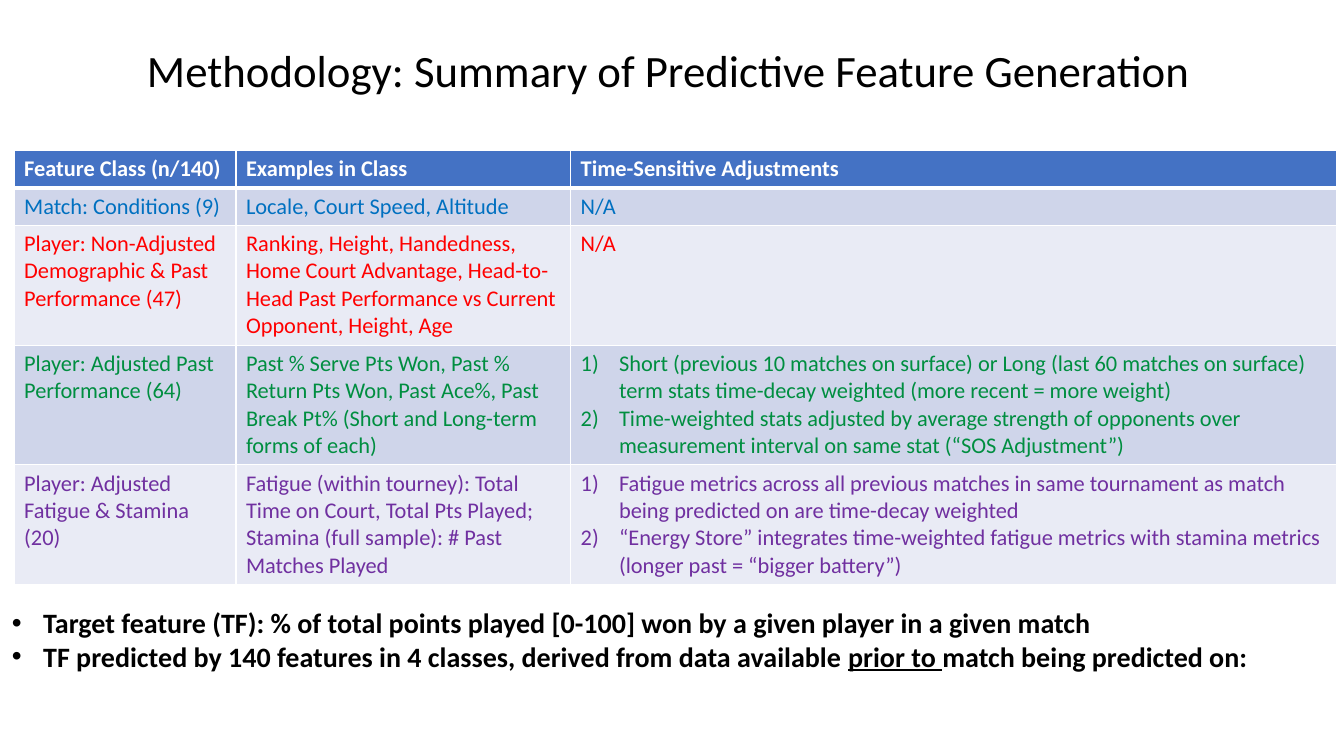
from dataclasses import dataclass

from lxml.etree import SubElement
from pptx import Presentation
from pptx.dml.color import RGBColor
from pptx.enum.text import MSO_AUTO_SIZE
from pptx.oxml.ns import qn
from pptx.util import Inches, Pt


@dataclass(frozen=True)
class Theme:
    """Colours and type sizes of the slide."""
    font: str = "Calibri"
    title_size: int = 32
    bullet_size: int = 20
    table_size: int = 16
    text: str = "000000"
    header_text: str = "FFFFFF"
    header_fill: str = "4472C4"
    header_rule: str = "FFFFFF"
    bands: tuple = ("CFD5EA", "E9EBF5")
    class_colors: tuple = ("0070C0", "FF0000", "008E40", "7030A0")


THEME = Theme()
TITLE = "Methodology: Summary of Predictive Feature Generation "
HEADER = ["Feature Class (n/140)", "Examples in Class", "Time-Sensitive Adjustments"]
FEATURES = [
    ["Match: Conditions (9)", "Locale, Court Speed, Altitude", "N/A"],
    ["Player: Non-Adjusted Demographic & Past Performance (47)",
     "Ranking, Height, Handedness, Home Court Advantage, Head-to-Head Past "
     "Performance vs Current Opponent, Height, Age",
     "N/A"],
    ["Player: Adjusted Past Performance (64)",
     "Past % Serve Pts Won, Past %\n"
     "Return Pts Won, Past Ace%, Past Break Pt% (Short and Long-term forms of each)",
     ["Short (previous 10 matches on surface) or Long (last 60 matches on surface) "
      "term stats time-decay weighted (more recent = more weight)",
      "Time-weighted stats adjusted by average strength of opponents over "
      "measurement interval on same stat (“SOS Adjustment”)"]],
    ["Player: Adjusted Fatigue & Stamina (20)",
     "Fatigue (within tourney): Total Time on Court, Total Pts Played; "
     "Stamina (full sample): # Past Matches Played",
     ["Fatigue metrics across all previous matches in same tournament as match "
      "being predicted on are time-decay weighted",
      "“Energy Store” integrates time-weighted fatigue metrics with stamina metrics "
      "(longer past = “bigger battery”)"]],
]
COL_WIDTHS = [2.2, 3.32, 7.6]
ROW_HEIGHTS = [0.37, 0.37, 1.19, 1.18, 1.19]
BULLETS = [
    ["Target feature (TF): % of total points played [0-100] won by a given player "
     "in a given match"],
    ["TF predicted by 140 features in 4 classes, derived from data available ",
     "prior to ", "match being predicted on:"],
]


def format_text(tf, size, color, bold=False):
    """Apply one font format to every run of a text frame."""
    for p in tf.paragraphs:
        for r in p.runs:
            r.font.name = THEME.font
            r.font.size = Pt(size)
            r.font.bold = bold
            r.font.color.rgb = RGBColor.from_string(color)


def add_marker(p, indent, tag, **attributes):
    """Give a paragraph a hanging indent and a bullet or number."""
    pPr = p._p.get_or_add_pPr()
    pPr.set("marL", str(Inches(indent)))
    pPr.set("indent", str(-Inches(indent)))
    SubElement(pPr, qn("a:buFont"), typeface="Arial")
    SubElement(pPr, qn(tag), **attributes)


def add_text_box(slide, left, top, width, height, wrap):
    """Add an empty text box and return its text frame."""
    box = slide.shapes.add_textbox(Inches(left), Inches(top), Inches(width), Inches(height))
    tf = box.text_frame
    tf.word_wrap = wrap
    tf.auto_size = MSO_AUTO_SIZE.SHAPE_TO_FIT_TEXT
    return tf


def add_title(slide):
    """Add the slide title."""
    tf = add_text_box(slide, 1.36, 0.37, 10.66, 0.64, wrap=False)
    tf.text = TITLE
    format_text(tf, THEME.title_size, THEME.text)


def add_bottom_rule(cell, color, width):
    """Draw a line under a cell."""
    tcPr = cell._tc.get_or_add_tcPr()
    ln = SubElement(tcPr, qn("a:lnB"), w=str(Pt(width)))
    SubElement(SubElement(ln, qn("a:solidFill")), qn("a:srgbClr"), val=color)
    tcPr.insert(0, ln)


def fill_cell(cell, content, fill, color, bold):
    """Write a cell, numbering its paragraphs when the content is a list."""
    numbered = isinstance(content, list)
    tf = cell.text_frame
    tf.text = "\n".join(content) if numbered else content
    if numbered:
        for p in tf.paragraphs:
            add_marker(p, 0.38, "a:buAutoNum", type="arabicParenR")
    format_text(tf, THEME.table_size, color, bold)
    cell.fill.solid()
    cell.fill.fore_color.rgb = RGBColor.from_string(fill)


def add_feature_table(slide):
    """Add the table of feature classes."""
    rows = [HEADER] + FEATURES
    table = slide.shapes.add_table(
        len(rows), len(HEADER), Inches(0.14), Inches(1.49),
        Inches(sum(COL_WIDTHS)), Inches(sum(ROW_HEIGHTS))).table
    for column, width in zip(table.columns, COL_WIDTHS):
        column.width = Inches(width)
    for row, height in zip(table.rows, ROW_HEIGHTS):
        row.height = Inches(height)
    fills = [THEME.header_fill] + [THEME.bands[i % 2] for i in range(len(FEATURES))]
    colors = (THEME.header_text,) + THEME.class_colors
    for i, (contents, fill, color) in enumerate(zip(rows, fills, colors)):
        for j, content in enumerate(contents):
            fill_cell(table.cell(i, j), content, fill, color, bold=i == 0)
    for cell in table.rows[0].cells:
        add_bottom_rule(cell, THEME.header_rule, 3)


def add_target_bullets(slide):
    """Add the bullets on the target feature, underlining each second run."""
    tf = add_text_box(slide, 0.02, 5.96, 13.32, 0.77, wrap=True)
    for i, parts in enumerate(BULLETS):
        p = tf.add_paragraph() if i else tf.paragraphs[0]
        add_marker(p, 0.31, "a:buChar", char="•")
        for j, part in enumerate(parts):
            r = p.add_run()
            r.text = part
            r.font.underline = j == 1
    format_text(tf, THEME.bullet_size, THEME.text, bold=True)


def main():
    """Build and save the slide."""
    prs = Presentation()
    prs.slide_width, prs.slide_height = Inches(13.33), Inches(7.5)
    slide = prs.slides.add_slide(prs.slide_layouts[6])
    add_feature_table(slide)
    add_title(slide)
    add_target_bullets(slide)
    prs.save("out.pptx")


main()
